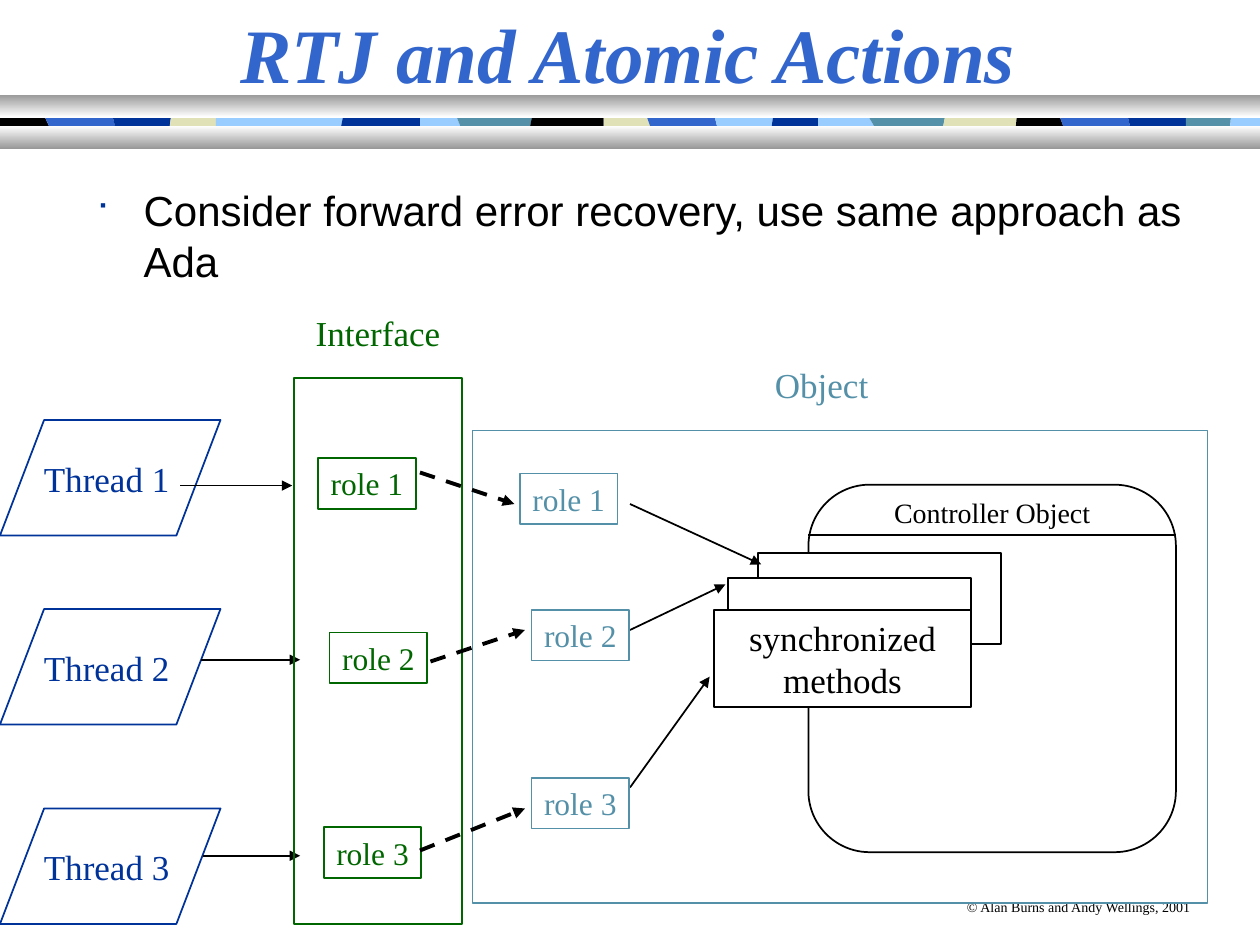
from lxml.etree import SubElement as Sub
from pptx import Presentation
from pptx.dml.color import RGBColor
from pptx.enum.dml import MSO_LINE as Dash
from pptx.enum.shapes import MSO_CONNECTOR as Conn, MSO_SHAPE as Kind
from pptx.enum.text import MSO_ANCHOR as Anchor, PP_ALIGN as Align
from pptx.oxml.ns import qn
from pptx.util import Pt

BLACK = RGBColor(0x00, 0x00, 0x00)
WHITE = RGBColor(0xFF, 0xFF, 0xFF)
GREY = RGBColor(0x98, 0x98, 0x98)
NAVY = RGBColor(0x00, 0x33, 0x99)
BLUE = RGBColor(0x33, 0x66, 0xCC)
SKY = RGBColor(0x99, 0xCC, 0xFF)
TEAL = RGBColor(0x54, 0x90, 0xA8)
CREAM = RGBColor(0xE1, 0xE1, 0xB7)
GREEN = RGBColor(0x00, 0x66, 0x00)

SERIF = "Times New Roman"
STRIPES = [
    (BLACK, 25.7, 28), (BLUE, 64.5, 65.7), (NAVY, 97.7, 97),
    (CREAM, 123.4, 123.4), (SKY, 196, 195), (NAVY, 240, 240),
    (SKY, 261, 263), (TEAL, 304, 303), (BLACK, 345, 345),
    (CREAM, 369.7, 371.5), (BLUE, 408.5, 409.7), (SKY, 441.7, 441),
    (NAVY, 467.5, 467.5), (SKY, 496.5, 499.5), (TEAL, 540, 539),
    (CREAM, 581, 580.5), (BLACK, 605.7, 607.5), (BLUE, 644.5, 645.7),
    (NAVY, 677.7, 677.7), (TEAL, 703.4, 703), (SKY, 720, 720),
]


def style(item, form):
    for key, value in form.items():
        setattr(item, key, value)


def write(shape, text, color, size, align=Align.CENTER, wrap=False,
          anchor=Anchor.MIDDLE, **font):
    frame = shape.text_frame
    style(frame, {"word_wrap": wrap, "vertical_anchor": anchor})
    para = frame.paragraphs[0]
    para.alignment = align
    run = para.add_run()
    run.text = text
    style(run.font, {"name": SERIF, "size": Pt(size), **font})
    run.font.color.rgb = color
    return para


def label(slide, box, text, color, size, **form):
    shape = slide.shapes.add_textbox(*map(Pt, box))
    return write(shape, text, color, size, **form)


def block(slide, box, color, kind=Kind.RECTANGLE, fill=WHITE):
    shape = slide.shapes.add_shape(kind, *map(Pt, box))
    shape.shadow.inherit = False
    if fill is None:
        shape.fill.background()
    else:
        shape.fill.solid()
        shape.fill.fore_color.rgb = fill
    shape.line.color.rgb = color
    shape.line.width = Pt(1)
    return shape


def link(slide, ends, head=True, form=None):
    line = slide.shapes.add_connector(Conn.STRAIGHT, *map(Pt, ends))
    line.line.color.rgb = BLACK
    style(line.line, form or {"width": Pt(1)})
    if head:
        Sub(line.line._get_or_add_ln(), qn("a:tailEnd"), type="triangle")
    Sub(line._element.spPr, qn("a:effectLst"))


def bar(slide, box, colors):
    shape = block(slide, box, WHITE)
    shape.line.fill.background()
    shape.fill.gradient()
    shape.fill.gradient_angle = 270
    for stop, color in zip(shape.fill.gradient_stops, colors):
        stop.color.rgb = color


def header(slide, box):
    left, top, width, height = box
    label(slide, (left, top, width - 2, 60), "RTJ and Atomic Actions", BLUE,
          44, wrap=True, bold=True, italic=True)
    high, low = top + height - 18, top + height - 13
    start = (left, left)
    for color, upper, lower in STRIPES:
        build = slide.shapes.build_freeform(Pt(start[0]), Pt(high))
        corners = [(left + upper, high), (left + lower, low), (start[1], low)]
        build.add_line_segments([(Pt(x), Pt(y)) for x, y in corners])
        shape = build.convert_to_shape()
        shape.shadow.inherit = False
        shape.fill.solid()
        shape.fill.fore_color.rgb = color
        shape.line.fill.background()
        start = (left + upper, left + lower)
    bar(slide, (left, high - 13, width, 13), (GREY, WHITE))
    bar(slide, (left, low, width, 13), (WHITE, GREY))


def body(slide, box):
    para = label(slide, box,
                 "Consider forward error recovery, use same approach as Ada",
                 BLACK, 24, align=Align.LEFT, wrap=True, anchor=Anchor.TOP,
                 name="Arial")
    props = para._p.get_or_add_pPr()
    style_marks = {"marL": Pt(27), "indent": Pt(-27)}
    for key, value in style_marks.items():
        props.set(key, str(value))
    Sub(Sub(props, qn("a:buClr")), qn("a:srgbClr"), val=str(NAVY))
    Sub(props, qn("a:buSzPct"), val="70000")
    Sub(props, qn("a:buFont"), typeface="Wingdings")
    Sub(props, qn("a:buChar"), char="■")


def roles(slide, spots, color):
    for num, (x, y) in enumerate(spots, 1):
        shape = block(slide, (x, y, 55.8, 29), color)
        write(shape, f"role {num}", color, 18)


def threads(slide, box):
    left, top, width, height = box
    rows = [(0, 37.5, 103, 167), (108, 29, 115, 171.5),
            (222, 27, 116, 171.5)]
    for num, (down, drop, near, far) in enumerate(rows, 1):
        y = top + down
        block(slide, (left, y, width, height), NAVY, Kind.FLOWCHART_DATA)
        label(slide, (left + 18, y + 17.5, 86, 31.5), f"Thread {num}", NAVY,
              20, align=Align.LEFT)
        link(slide, (left + near, y + drop, left + far, y + drop))


def control(slide, box):
    left, top, width, height = box
    block(slide, box, BLACK, Kind.FLOWCHART_ALTERNATE_PROCESS, None)
    label(slide, (left, top + 2, width, 27), "Controller Object", BLACK, 16)
    link(slide, (left, top + 28.8, left + width, top + 28.8), head=False)
    block(slide, (left - 29, top + 39, 139, 52), BLACK)
    for ends in [(360, 288, 435, 322.5), (360, 360, 414.5, 334),
                 (360, 450, 405.5, 386.7)]:
        link(slide, ends)
    block(slide, (left - 46, top + 53.5, 139, 52), BLACK)
    shape = block(slide, (left - 54, top + 71.5, 147, 55.5), BLACK)
    write(shape, "synchronized methods", BLACK, 20, wrap=True)


def target(slide, box):
    left, top, width, height = box
    block(slide, box, TEAL, fill=None)
    label(slide, (left + 165.5, top - 42, 68, 31.5), "Object", TEAL, 20)
    control(slide, (left + 192, top + 31, 210, 210))
    roles(slide, [(left + 27, top + 24.5), (left + 33.7, top + 102.5),
                  (left + 33.7, top + 198.5)], TEAL)


def face(slide, box):
    left, top, width, height = box
    roles(slide, [(left + 13.8, top + 45.7), (left + 20.3, top + 145.5),
                  (left + 17, top + 256.7)], GREEN)
    block(slide, box, GREEN, fill=None)
    label(slide, (left, top - 41.5, width, 31.5), "Interface", GREEN, 20)
    form = {"width": Pt(2.25), "dash_style": Dash.DASH}
    for ends in [(240, 270, 294, 288), (246, 378, 300, 360),
                 (240, 486, 300, 462)]:
        link(slide, ends, form=form)


def main():
    deck = Presentation()
    style(deck, {"slide_width": Pt(720), "slide_height": Pt(540)})
    slide = deck.slides.add_slide(deck.slide_layouts[6])
    header(slide, (0, 0, 720, 85))
    label(slide, (545.5, 510, 144, 17), "© Alan Burns and Andy Wellings, 2001",
          BLACK, 8, align=Align.LEFT, anchor=Anchor.TOP)
    body(slide, (48, 102, 642, 78))
    target(slide, (270, 246, 420, 270))
    threads(slide, (0, 240, 126, 66))
    face(slide, (168, 216, 96, 312))
    deck.save("out.pptx")


if __name__ == "__main__":
    main()
